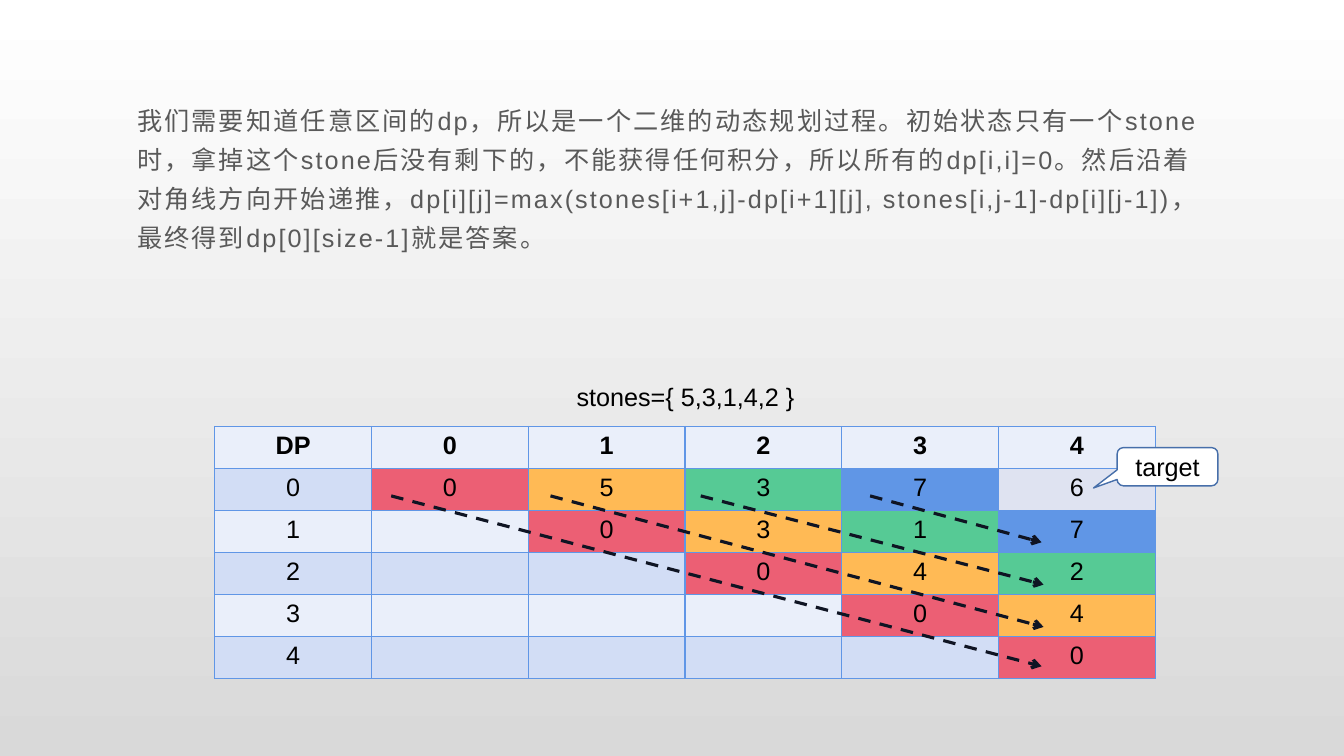
from lxml import etree
from pptx import Presentation, util as u
from pptx.dml.color import RGBColor
from pptx.enum import dml, shapes, text
from pptx.oxml import ns

BLACK = RGBColor(0, 0, 0)
WHITE = RGBColor(255, 255, 255)
SILVER = RGBColor(0xD9, 0xD9, 0xD9)
GREY = RGBColor(0x59, 0x59, 0x59)
NAVY = RGBColor(0x0F, 0x14, 0x23)
STEEL = RGBColor(0x47, 0x6F, 0xAA)
BLUE = RGBColor(0x60, 0x96, 0xE6)
BANDS = [RGBColor(0xEA, 0xEF, 0xFA), RGBColor(0xD2, 0xDD, 0xF5)]
DIAGONALS = [
    RGBColor(0xEC, 0x5F, 0x74),
    RGBColor(0xFF, 0xBA, 0x55),
    RGBColor(0x56, 0xCA, 0x95),
    BLUE,
    RGBColor(0xDF, 0xE3, 0xF1),
]

EXPLANATION = (
    "我们需要知道任意区间的dp，所以是一个二维的动态规划过程。"
    "初始状态只有一个stone时，拿掉这个stone后没有剩下的，不能获得任何积分，"
    "所以所有的dp[i,i]=0。然后沿着对角线方向开始递推，"
    "dp[i][j]=max(stones[i+1,j]-dp[i+1][j], stones[i,j-1]-dp[i][j-1])，"
    "最终得到dp[0][size-1]就是答案。"
)
DP_ROWS = [
    ["DP", "0", "1", "2", "3", "4"],
    ["0", "0", "5", "3", "7", "6"],
    ["1", "", "0", "3", "1", "7"],
    ["2", "", "", "0", "4", "2"],
    ["3", "", "", "", "0", "4"],
    ["4", "", "", "", "", "0"],
]
ARROW_TOP = 4.92
ARROWS = [(3.88, 10.33, 6.61), (5.46, 10.35, 6.22), (6.95, 10.35, 5.8), (8.63, 10.33, 5.38)]


def inches(*values):
    return [u.Inches(v) for v in values]


def sub(parent, tag, **attrs):
    return etree.SubElement(parent, ns.qn(tag), attrs)


def apply(obj, **values):
    for name, value in values.items():
        setattr(obj, name, value)


def write(tf, content, color=BLACK, align=None, bold=False):
    p = tf.paragraphs[0]
    p.alignment = align
    r = p.add_run()
    r.text = content
    apply(r.font, name="Arial", size=u.Pt(18), bold=bold)
    r.font.color.rgb = color
    return p, r


def paint_background(s):
    fill = s.background.fill
    fill.gradient()
    fill.gradient_angle = 270
    for stop, position, color in zip(fill.gradient_stops, (0, 1), (WHITE, SILVER)):
        stop.position = position
        stop.color.rgb = color


def add_explanation(s):
    title = s.shapes.title
    title.element.getparent().remove(title.element)
    body = s.placeholders[1]
    left, top, width, height = inches(1.26, 0.9, 10.82, 2.05)
    apply(body, left=left, top=top, width=width, height=height)
    tf = body.text_frame
    apply(tf, auto_size=text.MSO_AUTO_SIZE.NONE, word_wrap=True,
          vertical_anchor=text.MSO_ANCHOR.TOP)
    p, r = write(tf, EXPLANATION, GREY, text.PP_ALIGN.LEFT)
    apply(p, line_spacing=1.3, space_before=u.Pt(0), space_after=u.Pt(10))
    pPr = p._p.get_or_add_pPr()
    pPr.set("marL", "0")
    pPr.set("indent", "0")
    sub(pPr, "a:buNone")
    r.font._element.set("spc", "150")


def add_borders(cell):
    tcPr = cell._tc.get_or_add_tcPr()
    for side in ("a:lnL", "a:lnR", "a:lnT", "a:lnB"):
        ln = sub(tcPr, side, w=str(u.Pt(1)))
        sub(sub(ln, "a:solidFill"), "a:srgbClr", val=str(BLUE))


def add_dp_table(s):
    size = len(DP_ROWS)
    table = s.shapes.add_table(size, size, *inches(2.13, 4.23, 9.33, 2.5)).table
    for i, row in enumerate(DP_ROWS):
        for j, value in enumerate(row):
            cell = table.cell(i, j)
            add_borders(cell)
            cell.fill.solid()
            on_diagonal = 0 < i <= j
            cell.fill.fore_color.rgb = DIAGONALS[j - i] if on_diagonal else BANDS[i % 2]
            if value:
                write(cell.text_frame, value, align=text.PP_ALIGN.CENTER, bold=i == 0)


def add_arrow(s, x1, x2, y2):
    c = s.shapes.add_connector(shapes.MSO_CONNECTOR.STRAIGHT, *inches(x1, ARROW_TOP, x2, y2))
    c.line.color.rgb = NAVY
    apply(c.line, width=u.Pt(2.25), dash_style=dml.MSO_LINE.DASH)
    sub(c.line._get_or_add_ln(), "a:tailEnd", type="arrow")
    sub(c._element.spPr, "a:effectLst")


def add_target_callout(s):
    sp = s.shapes.add_shape(shapes.MSO_SHAPE.ROUNDED_RECTANGULAR_CALLOUT,
                            *inches(11.08, 4.44, 1, 0.38))
    for k, value in enumerate((-0.734, 0.555, 0.167)):
        sp.adjustments[k] = value
    sp.shadow.inherit = False
    sp.fill.solid()
    sp.fill.fore_color.rgb = WHITE
    sp.line.color.rgb = STEEL
    sp.line.width = u.Pt(1)
    sp.text_frame.vertical_anchor = text.MSO_ANCHOR.MIDDLE
    write(sp.text_frame, "target", align=text.PP_ALIGN.CENTER)


def add_stones_label(s):
    tf = s.shapes.add_textbox(*inches(5.62, 3.73, 2.36, 0.4)).text_frame
    apply(tf, word_wrap=False, auto_size=text.MSO_AUTO_SIZE.SHAPE_TO_FIT_TEXT)
    write(tf, "stones={ 5,3,1,4,2 }")


def main():
    prs = Presentation()
    apply(prs, slide_width=u.Inches(13.33), slide_height=u.Inches(7.5))
    s = prs.slides.add_slide(prs.slide_layouts[1])
    paint_background(s)
    add_dp_table(s)
    add_explanation(s)
    for arrow in ARROWS:
        add_arrow(s, *arrow)
    add_target_callout(s)
    add_stones_label(s)
    prs.save("out.pptx")


if __name__ == "__main__":
    main()
